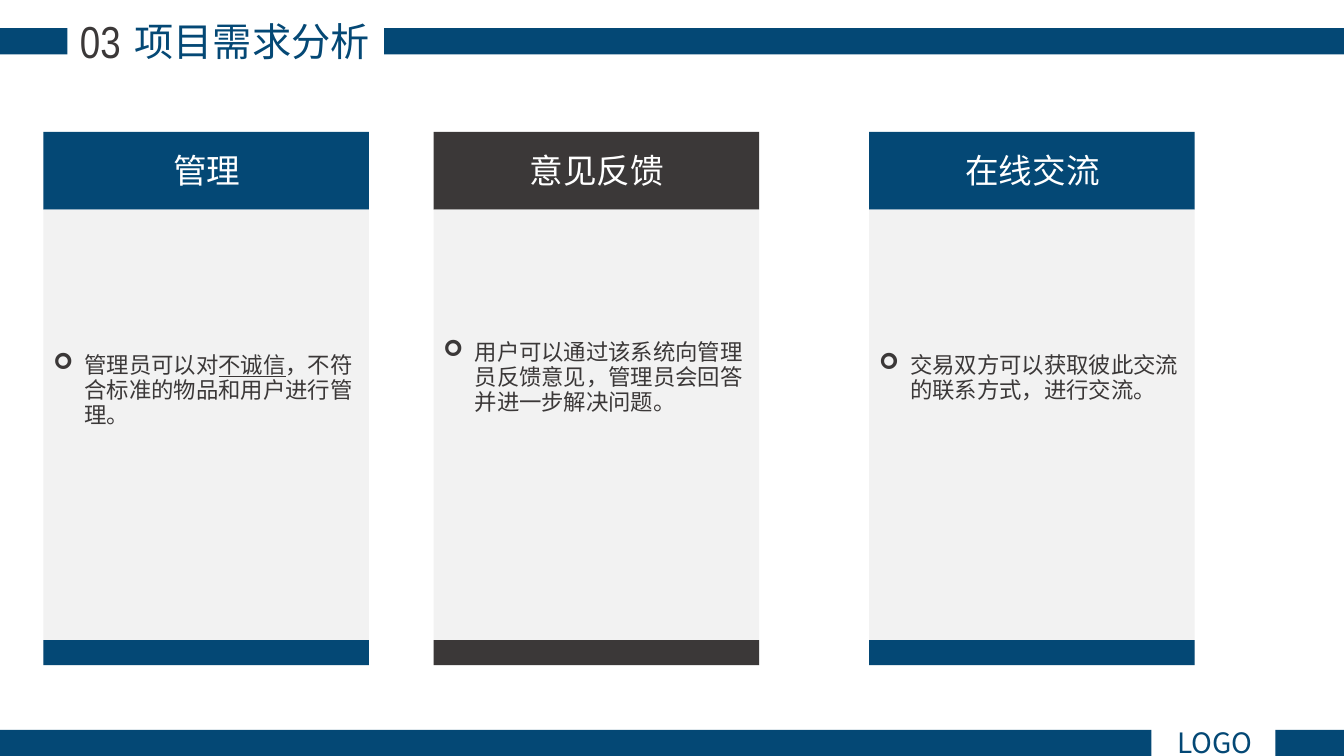
from dataclasses import dataclass

from lxml.etree import SubElement
from pptx import Presentation
from pptx.dml.color import RGBColor
from pptx.enum.shapes import MSO_SHAPE
from pptx.enum.text import MSO_ANCHOR, MSO_AUTO_SIZE, PP_ALIGN
from pptx.oxml.ns import qn
from pptx.util import Inches, Pt


@dataclass(frozen=True)
class Theme:
    blue: str = "044875"
    dark: str = "3B3838"
    panel: str = "F2F2F2"
    white: str = "FFFFFF"
    cjk: str = "Noto Sans CJK SC"
    body: str = "Calibri"
    narrow: str = "Arial Narrow"
    number_size: int = 32
    title_size: int = 28
    heading_size: int = 24
    logo_size: int = 20
    body_size: int = 16


theme = Theme()
prs = Presentation()
prs.slide_width, prs.slide_height = Inches(13.33), Inches(7.5)
s = prs.slides.add_slide(prs.slide_layouts[5])


def add_bar(left, top, width, height, color):
    sp = s.shapes.add_shape(MSO_SHAPE.RECTANGLE, Inches(left), Inches(top),
                            Inches(width), Inches(height))
    sp.shadow.inherit = False
    sp.fill.solid()
    sp.fill.fore_color.rgb = RGBColor.from_string(color)
    sp.line.fill.background()


def add_label(box, runs, size, font, color, align=PP_ALIGN.CENTER, sp=None):
    """Write (text, underlined) runs into a new text box or a given placeholder."""
    left, top, width, height = map(Inches, box)
    if sp is None:
        sp = s.shapes.add_textbox(left, top, width, height)
    sp.left, sp.top, sp.width, sp.height = left, top, width, height
    tf = sp.text_frame
    tf.word_wrap = True
    tf.auto_size = MSO_AUTO_SIZE.NONE
    tf.vertical_anchor = MSO_ANCHOR.TOP
    p = tf.paragraphs[0]
    p.alignment = align
    for text, underlined in runs:
        r = p.add_run()
        r.text = text
        r.font.size = Pt(size)
        r.font.name = font
        r.font.color.rgb = RGBColor.from_string(color)
        if underlined:
            r.font.underline = True
        SubElement(r.font._element, qn("a:ea"), typeface=theme.cjk)
    return p


# Header and footer bars
for left, top, width in [(0, 0.28, 0.67), (3.81, 0.28, 9.52),
                         (12.65, 7.24, 0.68), (0, 7.24, 11.42)]:
    add_bar(left, top, width, 0.26, theme.blue)

# Title, section number and footer label
add_label((0.7, 0.12, 3.6, 0.57), [("项目需求分析", False)],
          theme.title_size, theme.cjk, theme.blue, sp=s.shapes.title)
add_label((0.6, 0.09, 0.79, 0.64), [("03", False)],
          theme.number_size, theme.narrow, theme.dark)
add_label((11.23, 7.15, 1.64, 0.44), [("LOGO", False)],
          theme.logo_size, theme.cjk, theme.blue)

# Requirement cards: left, accent, heading, body top, body height, body runs
cards = [
    (0.43, theme.blue, "管理", 3.45, 0.86,
     [("管理员可以对", False), ("不诚信", True),
      ("，不符合标准的物品和用户进行管理。", False)]),
    (4.3, theme.dark, "意见反馈", 3.32, 0.86,
     [("用户可以通过该系统向管理员反馈意见，管理员会回答并进一步解决问题。", False)]),
    (8.62, theme.blue, "在线交流", 3.45, 0.6,
     [("交易双方可以获取彼此交流的联系方式，进行交流。", False)]),
]
for left, accent, heading, body_top, body_height, runs in cards:
    add_bar(left, 1.31, 3.23, 0.77, accent)
    add_bar(left, 2.08, 3.23, 4.52, theme.panel)
    add_bar(left, 6.35, 3.23, 0.25, accent)
    add_label((left + 0.14, 1.44, 2.96, 0.5), [(heading, False)],
              theme.heading_size, theme.body, theme.white)
    p = add_label((left, body_top, 3.22, body_height), runs,
                  theme.body_size, theme.body, theme.dark, PP_ALIGN.LEFT)
    p.line_spacing = Pt(18)
    # Arrow bullet with a hanging indent
    pPr = p._p.get_or_add_pPr()
    pPr.set("marL", str(Inches(0.31)))
    pPr.set("indent", str(-Inches(0.31)))
    SubElement(pPr, qn("a:buFont"), typeface="Wingdings")
    SubElement(pPr, qn("a:buChar"), char="➢")

prs.save("out.pptx")
